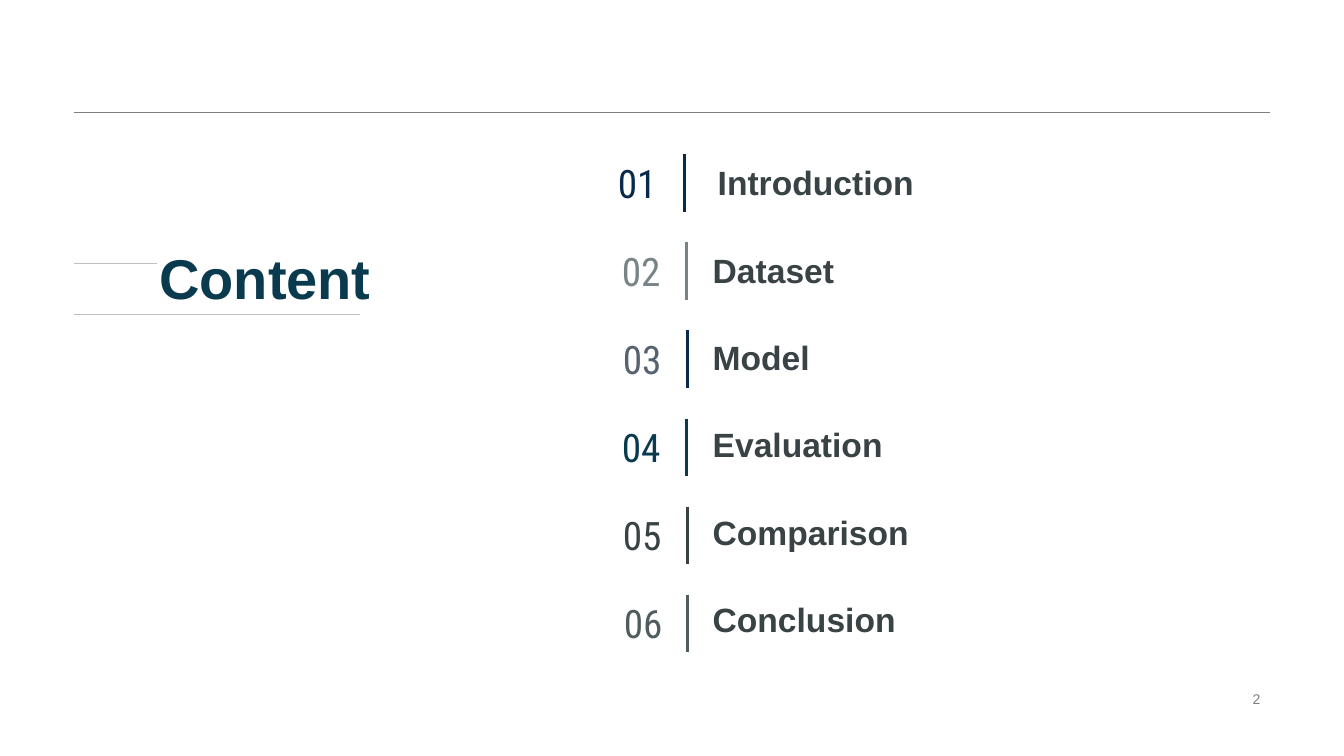
from lxml import etree
from pptx import Presentation
from pptx.dml.color import RGBColor
from pptx.enum.shapes import MSO_CONNECTOR
from pptx.enum.text import MSO_ANCHOR, MSO_AUTO_SIZE, PP_ALIGN
from pptx.oxml.ns import qn
from pptx.util import Pt

PX = 9144  # 100 px to the inch
STRAIGHT = MSO_CONNECTOR.STRAIGHT
MIDDLE, BOTTOM = MSO_ANCHOR.MIDDLE, MSO_ANCHOR.BOTTOM
LEFT, CENTER, RIGHT = PP_ALIGN.LEFT, PP_ALIGN.CENTER, PP_ALIGN.RIGHT
BODY_FONT, NUMBER_FONT = "Arial", "Roboto Condensed"

COLORS = {
    "rule": "7F7F7F",
    "title_rule": "BFBFBF",
    "title": "0A3A4E",
    "label": "394244",
    "navy": "082A4D",
    "gray": "778387",
    "slate": "576270",
    "teal": "093A4E",
    "dark": "384244",
    "steel": "505D60",
}

# label, label x, number x, number colour, bar x, bar colour
ENTRIES = [
    ("Introduction", 102, 0, "navy", 79, "navy"),
    ("Dataset", 97, 4, "gray", 81, "gray"),
    ("Model", 97, 5, "slate", 82, "navy"),
    ("Evaluation", 97, 4, "teal", 81, "teal"),
    ("Comparison", 97, 5, "dark", 82, "dark"),
    ("Conclusion", 97, 6, "steel", 82, "steel"),
]


def px(*lengths):
    return [round(n * PX) for n in lengths]


def color(name):
    return RGBColor.from_string(COLORS[name])


def add_line(s, x1, y1, x2, y2, color_name, width=0.75):
    line = s.shapes.add_connector(STRAIGHT, *px(x1, y1, x2, y2))
    line.line.color.rgb = color(color_name)
    line.line.width = Pt(width)
    etree.SubElement(line._element.spPr, qn("a:effectLst"))


def format_text(sp, text, size, color_name, font=BODY_FONT, bold=False,
                align=LEFT, anchor=MIDDLE):
    tf = sp.text_frame
    tf.text = text
    tf.word_wrap = True
    tf.auto_size = MSO_AUTO_SIZE.NONE
    tf.vertical_anchor = anchor
    p = tf.paragraphs[0]
    p.alignment = align
    r = p.runs[0]
    r.font.name = font
    r.font.size = Pt(size)
    r.font.bold = bold
    r.font.color.rgb = color(color_name)
    return p


def add_text(s, x, y, w, h, text, size, color_name, **style):
    sp = s.shapes.add_textbox(*px(x, y, w, h))
    format_text(sp, text, size, color_name, **style)


def add_frame(s, x, y, w, h):
    """Draw the header rule and the slide number."""
    add_line(s, x, y, x + w, y, "rule")
    add_text(s, x + w - 318, y + h - 23, 318, 23, "2", 10, "rule", align=RIGHT)


def add_title(s, x, y):
    add_line(s, x + 83, y + 18, x, y + 18, "title_rule")
    add_line(s, x, y + 69, x + 284, y + 69, "title_rule")
    title = s.shapes.title
    title.left, title.top, title.width, title.height = px(x + 75, y, 296, 72)
    p = format_text(title, "Content", 40, "title", bold=True)
    p.line_spacing = 0.9


def add_agenda(s, x, y, h):
    """Spread the numbered entries evenly over the height."""
    bar_h, label_h = 57, 57
    bar_step = (h - bar_h - 4) / (len(ENTRIES) - 1)
    label_step = bar_step - 0.8
    for i, (label, label_x, num_x, num_color, bar_x, bar_color) in enumerate(ENTRIES):
        bar_y = y + 4 + i * bar_step
        add_text(s, x + num_x, bar_y + 3, 64, 50, f"{i + 1:02}", 28, num_color,
                 font=NUMBER_FONT, align=CENTER)
        add_line(s, x + bar_x, bar_y, x + bar_x, bar_y + bar_h, bar_color, 2.25)
        add_text(s, x + label_x, y + i * label_step, 395, label_h, label, 24,
                 "label", bold=True, anchor=BOTTOM)


def main():
    prs = Presentation()
    prs.slide_width, prs.slide_height = px(1333, 750)
    s = prs.slides.add_slide(prs.slide_layouts[5])
    add_frame(s, 73, 112, 1187, 593)
    add_title(s, 73, 243)
    add_agenda(s, 600, 149, 498)
    prs.save("out.pptx")


if __name__ == "__main__":
    main()
